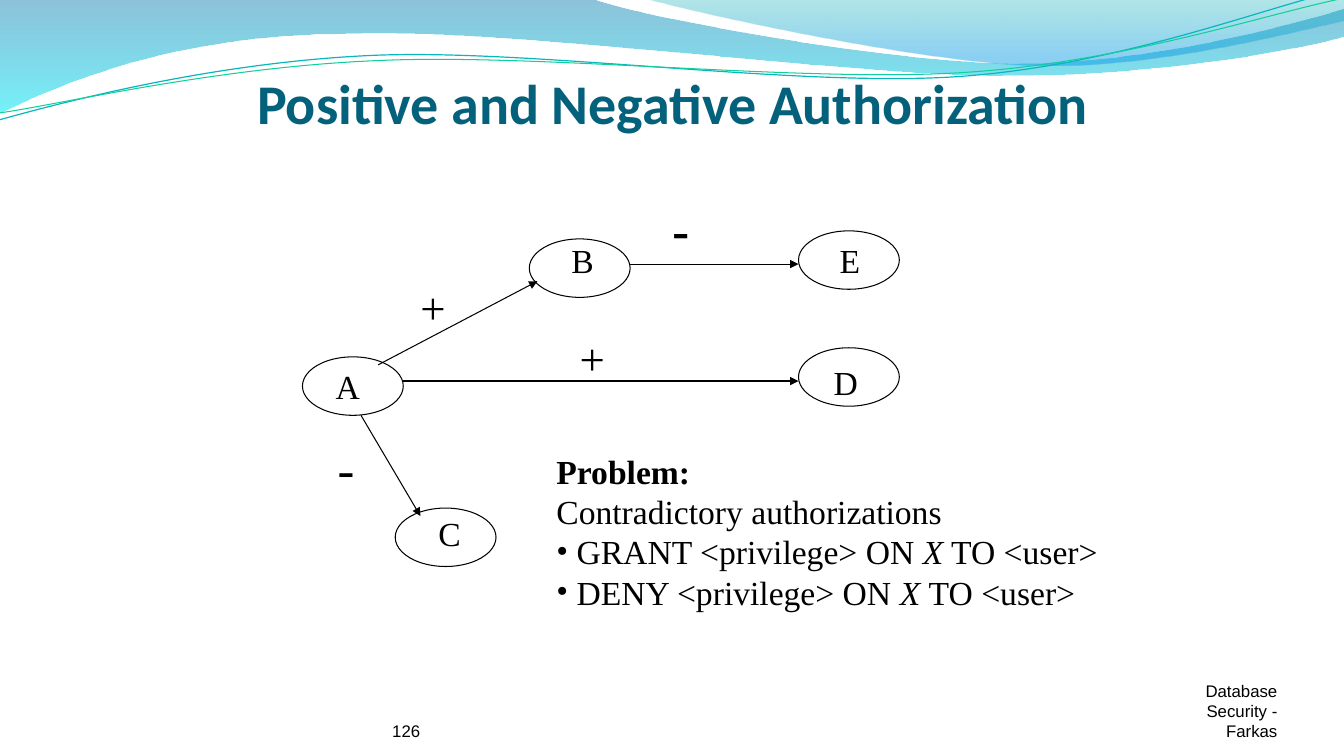
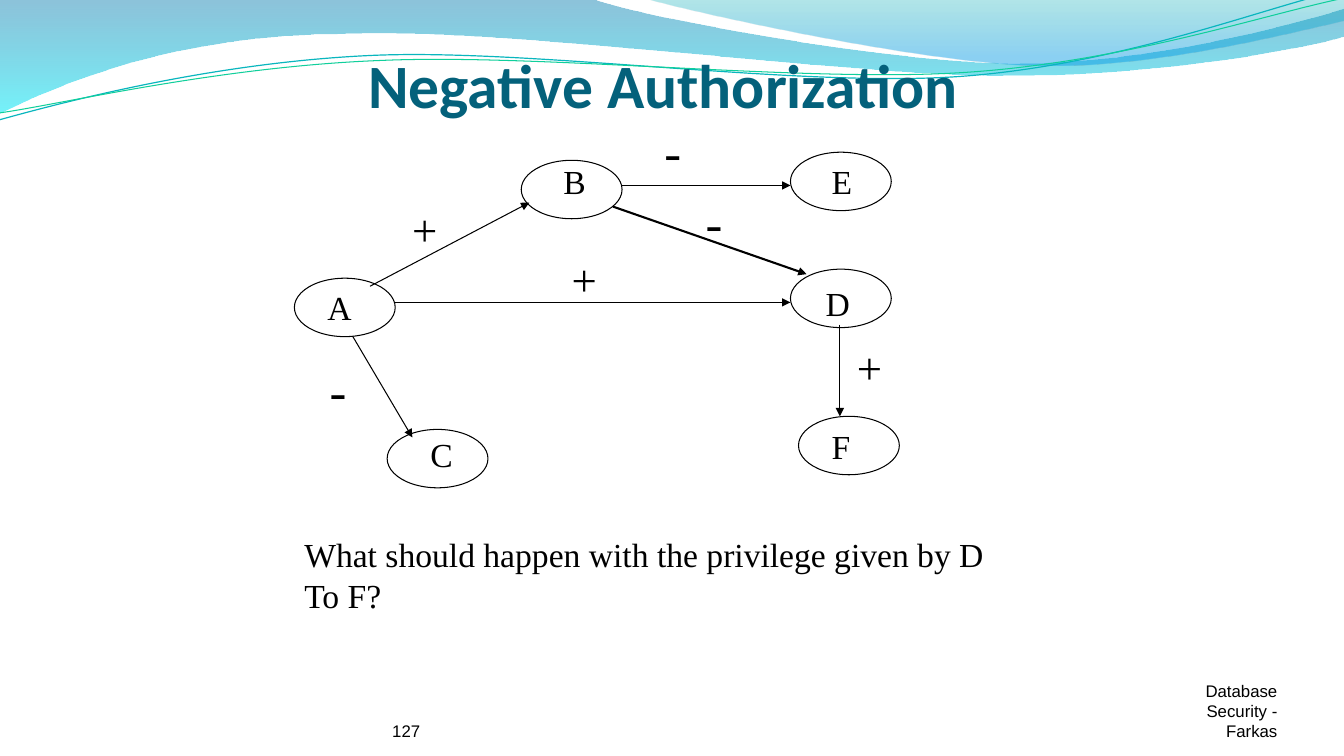
"""Build two slides on positive and negative authorization graphs."""
import math

import pptx
import pptx.dml.color
import pptx.enum.shapes
import pptx.enum.text
import pptx.oxml
import pptx.oxml.ns
import pptx.util
from lxml import etree

Inches, Pt = pptx.util.Inches, pptx.util.Pt
ALIGN = pptx.enum.text.PP_ALIGN
ANCHOR = pptx.enum.text.MSO_ANCHOR
qn = pptx.oxml.ns.qn


def rgb(value):
    """Turn a hex string into a colour."""
    return pptx.dml.color.RGBColor.from_string(value)


def add_text(s, box, paras, fmt, align=ALIGN.LEFT, anchor=ANCHOR.TOP, inset=(0.1, 0.05)):
    """Add a text box; each paragraph is a list of (text, format changes) runs."""
    tf = s.shapes.add_textbox(*map(Inches, box)).text_frame
    frame = {"word_wrap": True, "vertical_anchor": anchor,
             "margin_left": Inches(inset[0]), "margin_right": Inches(inset[0]),
             "margin_top": Inches(inset[1]), "margin_bottom": Inches(inset[1])}
    for key, value in frame.items():
        setattr(tf, key, value)
    for i, runs in enumerate(paras):
        p = tf.add_paragraph() if i else tf.paragraphs[0]
        p.alignment = align
        for text, changes in runs:
            r = p.add_run()
            r.text = text
            style = {"color": "000000", **fmt, **changes}
            r.font.color.rgb = rgb(style.pop("color"))
            for key, value in style.items():
                setattr(r.font, key, value)
    return tf


TITLE = {"name": "Calibri", "bold": True, "color": "04617B"}
FOOTER = {"name": "Arial", "size": Pt(12)}
BODY = {"name": "Times New Roman", "size": Pt(24)}
SIGNS = {"+": (0.45, 0.63, Pt(32)), "-": (0.37, 0.7, Pt(36))}
TILT = -2.7

# Each segment holds one end point, or two control points and an end point.
WAVES = [
    {"start": (0, -0.01),
     "segments": [[(5.87, -0.01)],
                  [(6.34, 0.17), (8.85, 0.63), (10.11, 0.63)],
                  [(11.38, 0.63), (12.78, 0.26), (13.33, 0.09)],
                  [(13.35, 0.36)],
                  [(13.11, 0.44), (11.6, 0.76), (9.94, 0.75)],
                  [(8.29, 0.75), (5.09, 0.28), (3.43, 0.34)],
                  [(1.72, 0.35), (0.61, 0.83), (-0.01, 1.13)],
                  [(0, -0.01)]],
     "stops": [(0, "0079AD", 45), (100, "00E9F7", 55)]},
    {"start": (6.39, -0.01),
     "segments": [[(6.79, 0.11), (9.09, 0.62), (10.25, 0.65)],
                  [(11.41, 0.69), (12.82, 0.32), (13.33, 0.21)],
                  [(13.33, 0)],
                  [(6.39, -0.01)]],
     "stops": [(0, "00ABB4", 30), (80, "0099E4", 45), (100, "0099E4", 45)]},
    {"start": (-0.01, 1.19), "pivot": (6.65, 0.575),
     "segments": [[(0.64, 1.01), (2.11, 0.62), (3.69, 0.55)],
                  [(5.27, 0.48), (7.9, 0.87), (9.5, 0.76)],
                  [(11.1, 0.65), (12.52, 0.08), (13.31, -0.1)]],
     "line": ("09B6BE", 0.85)},
    {"start": (0, 1.12), "pivot": (6.67, 0.59),
     "segments": [[(0.63, 1.03), (2.18, 0.66), (3.78, 0.6)],
                  [(5.37, 0.53), (7.96, 0.82), (9.55, 0.72)],
                  [(11.15, 0.62), (12.55, 0.14), (13.34, -0.02)]],
     "line": ("10CF9B", 0.75)},
]

NODES = [("A", 3, 3.54, 3.23, 3.58), ("D", 7.92, 3.45, 8.17, 3.54),
         ("E", 7.92, 2.29, 8.23, 2.33), ("C", 3.92, 5.04, 4.25, 5.04),
         ("B", 5.25, 2.37, 5.57, 2.33)]
EDGES = [(3.75, 3.62, 5.33, 2.79, 0.75), (6.25, 2.62, 7.92, 2.62, 0.75),
         (4, 3.78, 7.92, 3.78, 0.75), (3.58, 4.12, 4.17, 5.12, 0.75)]
MARKS = [("+", 4.07, 2.73), ("+", 5.65, 3.23), ("-", 3.25, 4.29)]

SLIDES = [
    {"number": "126", "title": "Positive and Negative Authorization",
     "title_box": (2.17, 0.63, 9, 1.37), "title_size": Pt(40),
     "shift": (0, 0), "nodes": NODES, "edges": EDGES, "marks": MARKS, "bold_deny": True,
     "body_box": (5.42, 4.42, 5.62, 1.72), "bullets_from": 2,
     "body": [[("Problem:", {"bold": True})],
              [("Contradictory authorizations", {})],
              [("GRANT <privilege> ON ", {}), ("X", {"italic": True}), (" TO <user>", {})],
              [("DENY <privilege> ON ", {}), ("X ", {"italic": True}), ("TO <user>", {})]]},
    {"number": "127", "title": "Negative Authorization",
     "title_box": (2.08, 0.42, 9, 0.8), "title_size": Pt(44),
     "shift": (-0.08, -0.78),
     "nodes": NODES + [("F", 8, 4.91, 8.23, 4.96)],
     "edges": EDGES + [(6.16, 2.83, 8.08, 3.5, 1.5), (8.41, 4, 8.41, 4.91, 0.75)],
     "marks": MARKS + [("-", 6.98, 2.63), ("+", 8.48, 4.1)], "bold_deny": False,
     "body_box": (2.92, 5.25, 7, 0.91), "bullets_from": 2,
     "body": [[("What should happen with the privilege given by D", {})],
              [("To F?", {})]]},
]

prs = pptx.Presentation()
prs.slide_width, prs.slide_height = Inches(13.33), Inches(7.5)

for page in SLIDES:
    s = prs.slides.add_slide(prs.slide_layouts[6])

    for wave in WAVES:
        points = [wave["start"]] + [pt for segment in wave["segments"] for pt in segment]
        if "pivot" in wave:
            px, py = wave["pivot"]
            cos, sin = math.cos(math.radians(-TILT)), math.sin(math.radians(-TILT))
            points = [(px + (x - px) * cos - (y - py) * sin,
                       py + (x - px) * sin + (y - py) * cos) for x, y in points]
        points = [(Inches(x), Inches(y)) for x, y in points]
        fb = s.shapes.build_freeform(*points[0])
        fb.add_line_segments(points[1:], close="stops" in wave)
        sp = fb.convert_to_shape()
        sp.shadow.inherit = False
        sp.fill.background()
        spPr = sp.element.spPr

        steps = iter(list(spPr.iter(qn("a:lnTo"))))
        for segment in wave["segments"]:
            first = next(steps)
            if len(segment) == 3:
                curve = etree.Element(qn("a:cubicBezTo"))
                first.addprevious(curve)
                for step in (first, next(steps), next(steps)):
                    curve.append(step[0])
                    step.getparent().remove(step)

        if "stops" in wave:
            sp.line.fill.background()
            stops = "".join(
                f'<a:gs pos="{pos * 1000}"><a:srgbClr val="{color}">'
                f'<a:alpha val="{alpha * 1000}"/></a:srgbClr></a:gs>'
                for pos, color, alpha in wave["stops"])
            grad = pptx.oxml.parse_xml(
                f'<a:gradFill {pptx.oxml.ns.nsdecls("a")}><a:gsLst>{stops}</a:gsLst>'
                '<a:lin ang="5400000" scaled="0"/></a:gradFill>')
            spPr.replace(spPr.find(qn("a:noFill")), grad)
        else:
            color, width = wave["line"]
            sp.rotation = TILT
            sp.line.color.rgb = rgb(color)
            sp.line.width = Pt(width)

    add_text(s, (3.89, 6.95, 4.89, 0.4), [[(page["number"], {})]], FOOTER,
             anchor=ANCHOR.BOTTOM, inset=(0, 0))
    add_text(s, (11.56, 6.95, 1.11, 0.4), [[("Database Security - Farkas", {})]], FOOTER,
             align=ALIGN.RIGHT, anchor=ANCHOR.BOTTOM, inset=(0, 0))
    add_text(s, page["title_box"], [[(page["title"], {"size": page["title_size"]})]], TITLE,
             align=ALIGN.CENTER)

    tf = add_text(s, page["body_box"], page["body"], BODY)
    for p in tf.paragraphs[page["bullets_from"]:]:
        pPr = p._p.get_or_add_pPr()
        pPr.set("marL", str(Inches(0.2)))
        pPr.set("indent", str(-Inches(0.2)))
        etree.SubElement(pPr, qn("a:buFont")).set("typeface", BODY["name"])
        etree.SubElement(pPr, qn("a:buChar")).set("char", "•")

    dx, dy = page["shift"]
    for name, x, y, label_x, label_y in page["nodes"]:
        sp = s.shapes.add_shape(pptx.enum.shapes.MSO_SHAPE.OVAL, Inches(x + dx),
                                Inches(y + dy), Inches(1), Inches(0.58))
        sp.shadow.inherit = False
        sp.fill.background()
        sp.line.color.rgb = rgb("000000")
        sp.line.width = Pt(0.75)
        add_text(s, (label_x + dx, label_y + dy, 0.44, 0.5), [[(name, {})]], BODY)

    for x1, y1, x2, y2, width in page["edges"]:
        cxn = s.shapes.add_connector(pptx.enum.shapes.MSO_CONNECTOR.STRAIGHT,
                                     Inches(x1 + dx), Inches(y1 + dy),
                                     Inches(x2 + dx), Inches(y2 + dy))
        cxn.line.color.rgb = rgb("000000")
        cxn.line.width = Pt(width)
        spPr = cxn.element.spPr
        etree.SubElement(spPr.find(qn("a:ln")), qn("a:tailEnd")).set("type", "triangle")
        etree.SubElement(spPr, qn("a:effectLst"))

    marks = [(*mark, False) for mark in page["marks"]]
    for sign, x, y, bold in marks + [("-", 6.57, 1.92, page["bold_deny"])]:
        w, h, size = SIGNS[sign]
        add_text(s, (x + dx, y + dy, w, h), [[(sign, {"size": size, "bold": bold})]], BODY)

prs.save("out.pptx")
